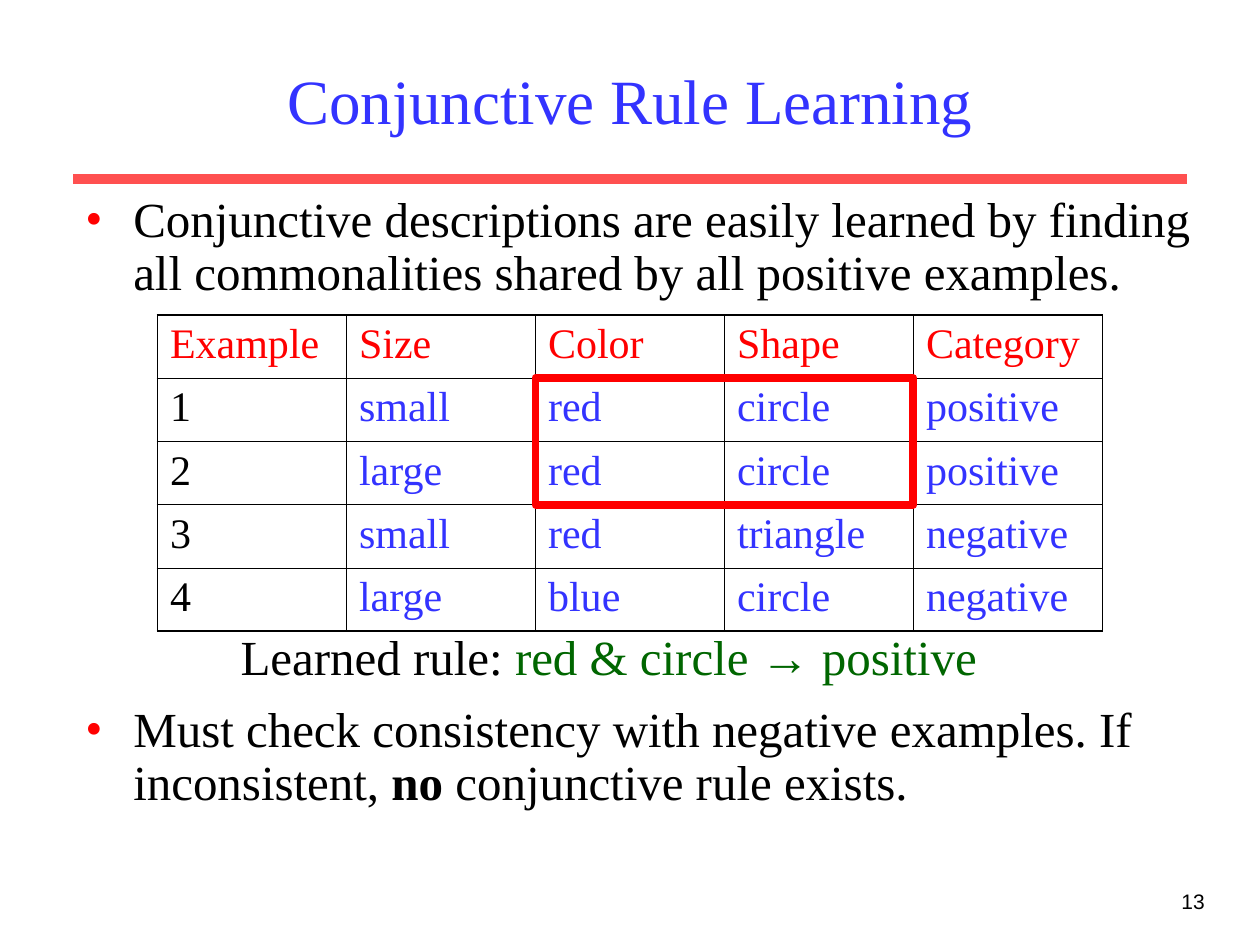
from lxml.etree import SubElement
from pptx import Presentation
from pptx.dml.color import RGBColor
from pptx.enum.shapes import MSO_CONNECTOR, MSO_SHAPE
from pptx.enum.text import MSO_ANCHOR, PP_ALIGN
from pptx.oxml import parse_xml
from pptx.oxml.ns import nsdecls, qn
from pptx.util import Inches, Pt

BLACK = RGBColor(0x00, 0x00, 0x00)
BLUE = RGBColor(0x33, 0x33, 0xFF)
RED = RGBColor(0xFF, 0x00, 0x00)
CORAL = RGBColor(0xFF, 0x50, 0x50)
GREEN = RGBColor(0x00, 0x66, 0x00)
SERIF = "Times New Roman"

EXAMPLES = [
    ["Example", "Size", "Color", "Shape", "Category"],
    ["1", "small", "red", "circle", "positive"],
    ["2", "large", "red", "circle", "positive"],
    ["3", "small", "red", "triangle", "negative"],
    ["4", "large", "blue", "circle", "negative"],
]
BULLETS = [
    (7, [("Conjunctive descriptions are easily learned by finding all "
          "commonalities shared by all positive examples.", False)]),
    (231, [("Must check consistency with negative examples. If inconsistent, ", False),
           ("no", True),
           (" conjunctive rule exists.", False)]),
]


def add_run(p, text, size, color=BLACK, font=SERIF, bold=False):
    r = p.add_run()
    r.text = text
    r.font.size = Pt(size)
    r.font.name = font
    r.font.bold = bold
    r.font.color.rgb = color


def add_text_frame(s, left, top, width, height):
    tf = s.shapes.add_textbox(Inches(left), Inches(top), Inches(width), Inches(height)).text_frame
    tf.word_wrap = True
    return tf


def add_title(s, left, top, width, height):
    sp = s.shapes.title
    sp.left, sp.top, sp.width, sp.height = map(Inches, (left, top, width, height))
    sp.text_frame.vertical_anchor = MSO_ANCHOR.MIDDLE
    p = sp.text_frame.paragraphs[0]
    p.alignment = PP_ALIGN.CENTER
    add_run(p, "Conjunctive Rule Learning", 36, BLUE)


def add_title_rule(s, left, top, width):
    line = s.shapes.add_connector(MSO_CONNECTOR.STRAIGHT, Inches(left), Inches(top),
                                  Inches(left + width), Inches(top))
    line.line.color.rgb = CORAL
    line.line.width = Pt(6)
    SubElement(line._element.spPr, qn("a:effectLst"))


def set_bullet(p, indent):
    pPr = p._p.get_or_add_pPr()
    pPr.set("marL", str(Inches(indent)))
    pPr.set("indent", str(-Inches(indent)))
    color = SubElement(pPr, qn("a:buClr"))
    SubElement(color, qn("a:srgbClr"), val=str(RED))
    SubElement(pPr, qn("a:buFont"), typeface=SERIF)
    SubElement(pPr, qn("a:buChar"), char="•")


def add_bullets(s, left, top, width, height):
    tf = add_text_frame(s, left, top, width, height)
    for i, (space, runs) in enumerate(BULLETS):
        p = tf.add_paragraph() if i else tf.paragraphs[0]
        p.line_spacing = 0.9
        p.space_before = Pt(space)
        set_bullet(p, 0.38)
        for text, bold in runs:
            add_run(p, text, 28, bold=bold)


def set_borders(cell, outer):
    tcPr = cell._tc.get_or_add_tcPr()
    for i, side in enumerate("LRTB"):
        width = Pt(1.08 if side in outer else 0.45)
        tcPr.insert(i, parse_xml(
            f'<a:ln{side} {nsdecls("a")} w="{width}"><a:solidFill>'
            f'<a:srgbClr val="{BLACK}"/></a:solidFill></a:ln{side}>'))


def add_examples(s, left, top, width, height):
    rows, cols = len(EXAMPLES), len(EXAMPLES[0])
    table = s.shapes.add_table(rows, cols, Inches(left), Inches(top),
                               Inches(width), Inches(height)).table
    table.first_row = table.horz_banding = False
    for i, row in enumerate(EXAMPLES):
        for j, text in enumerate(row):
            cell = table.cell(i, j)
            cell.fill.background()
            edges = {"L": j == 0, "R": j == cols - 1, "T": i == 0, "B": i == rows - 1}
            set_borders(cell, [side for side, on in edges.items() if on])
            color = RED if i == 0 else BLACK if j == 0 else BLUE
            add_run(cell.text_frame.paragraphs[0], text, 24, color)

    cell_w, cell_h = width / cols, height / rows
    sp = s.shapes.add_shape(MSO_SHAPE.RECTANGLE, Inches(left + 2 * cell_w), Inches(top + cell_h),
                            Inches(2 * cell_w), Inches(2 * cell_h))
    sp.shadow.inherit = False
    sp.fill.background()
    sp.line.color.rgb = RED
    sp.line.width = Pt(4.5)


def add_learned_rule(s, left, top, width, height):
    p = add_text_frame(s, left, top, width, height).paragraphs[0]
    p.alignment = PP_ALIGN.CENTER
    add_run(p, "Learned rule: ", 28)
    add_run(p, "red & circle → positive ", 28, GREEN)


def add_page_number(s, left, top, width, height):
    p = add_text_frame(s, left, top, width, height).paragraphs[0]
    p.alignment = PP_ALIGN.RIGHT
    add_run(p, "13", 12, font="Arial")


def main():
    prs = Presentation()
    prs.slide_width, prs.slide_height = Inches(10), Inches(7.5)
    s = prs.slides.add_slide(prs.slide_layouts[5])
    add_title_rule(s, 0.58, 1.42, 8.84)
    add_page_number(s, 7.58, 7, 2.08, 0.5)
    add_title(s, 0.75, 0.25, 8.5, 1.08)
    add_bullets(s, 0.58, 1.5, 9.17, 5.13)
    add_examples(s, 1.25, 2.5, 7.5, 2.51)
    add_learned_rule(s, 1.42, 4.92, 6.92, 0.57)
    prs.save("out.pptx")


if __name__ == "__main__":
    main()
